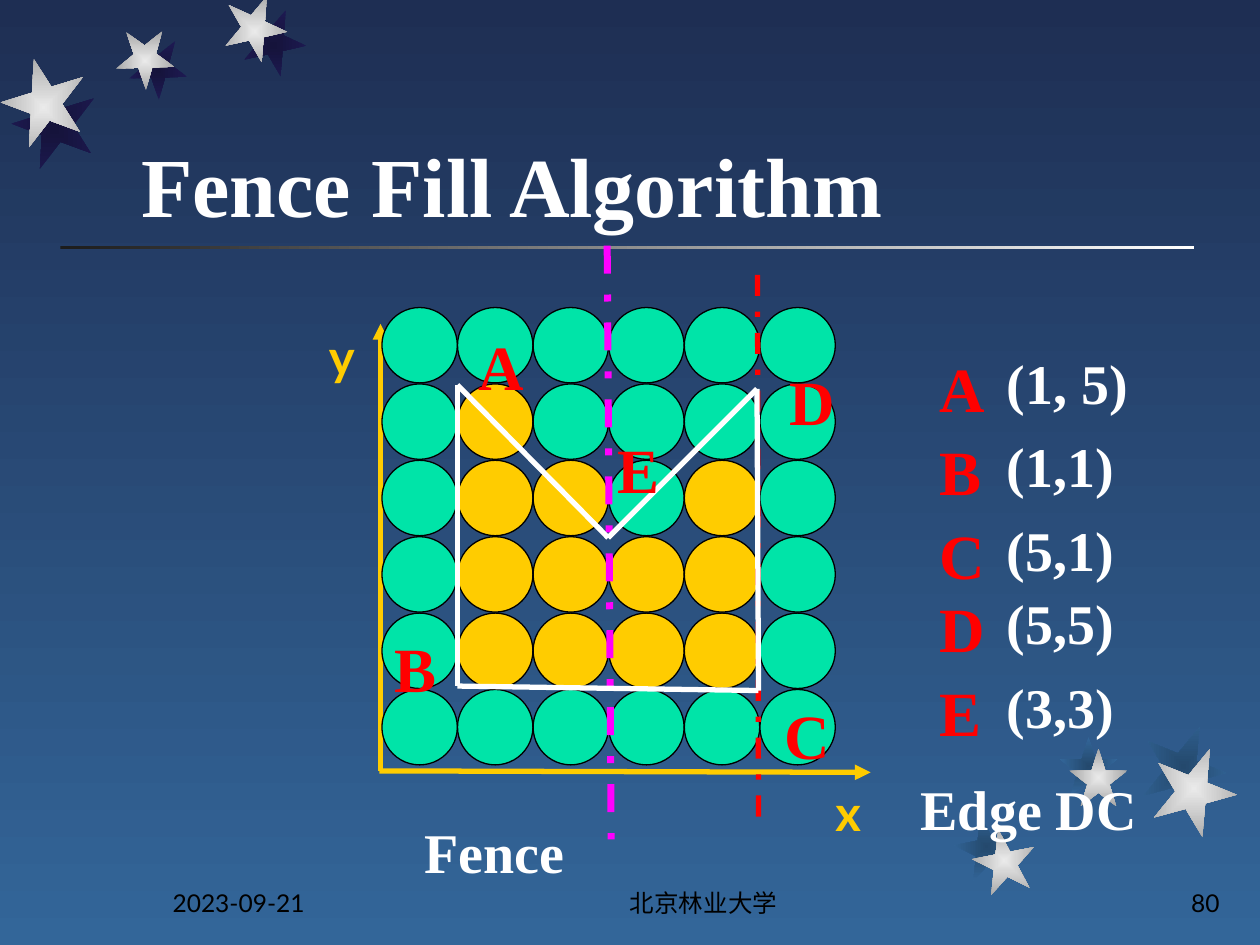
"""Builds the Fence Fill Algorithm slide with its pixel grid, polygon and vertex list."""
import dataclasses
import itertools

import pptx
import pptx.dml.color
import pptx.enum.dml
import pptx.enum.shapes
import pptx.enum.text
import pptx.oxml
import pptx.oxml.ns
import pptx.util

Cm = pptx.util.Cm
SHAPES = pptx.enum.shapes.MSO_SHAPE
ALIGN = pptx.enum.text.PP_ALIGN
ANCHOR = pptx.enum.text.MSO_ANCHOR


@dataclasses.dataclass(frozen=True)
class Theme:
    serif: str = "Times New Roman"
    sans: str = "Lato"
    white: str = "FFFFFF"
    black: str = "000000"
    red: str = "FF0000"
    magenta: str = "FF00FF"
    yellow: str = "FFCC00"
    green: str = "00E4A8"
    sky: tuple = ("1E2E53", "336699")
    rule: tuple = ("1C1C1C", "FFFFFF")
    star: tuple = ("EAEAEA", "A7A7A7")
    night_shadow: tuple = ("15133B", "1E1A53")
    dusk_shadow: tuple = ("24496D", "336699")
    title_size: int = 48
    vertex_size: int = 36
    label_size: int = 32
    axis_size: int = 28
    footer_size: int = 14


THEME = Theme()

TITLE = "Fence Fill Algorithm"
FOOTERS = [
    ("2023-09-21", 3.23, 5.28, ALIGN.LEFT),
    ("北京林业大学", 10.16, 8.05, ALIGN.CENTER),
    ("80", 19.56, 5.28, ALIGN.RIGHT),
]
STARS = [
    (1.27, 167.3, (4.88, 0.28), (4.5, 0), THEME.night_shadow),
    (1.17, 178.3, (2.6, 0.84), (2.34, 0.64), THEME.night_shadow),
    (1.7, 200.3, (0.25, 1.75), (0.03, 1.32), THEME.night_shadow),
    (1.27, 349, (19.25, 16.43), (19.61, 16.71), THEME.dusk_shadow),
    (1.17, 0, (21.36, 14.86), (21.56, 15.09), THEME.dusk_shadow),
    (1.7, 22, (23.01, 14.6), (23.22, 15.04), THEME.dusk_shadow),
]
PIXELS = ["......", ".#....", ".##.#.", ".####.", ".####.", "......"]
GRID_LEFT, GRID_TOP = 7.7, 6.2
COLUMN_PITCH, ROW_PITCH, PIXEL_SIZE = 1.524, 1.54, 1.52
AXES = [((7.67, 6.53), (7.67, 15.54)), ((17.55, 15.57), (7.65, 15.54))]
AXIS_LABELS = [("x", 16.59, 15.65), ("y", 6.38, 6.45)]
FENCES = [
    ((12.24, 4.95), (12.32, 16.92), THEME.magenta, 4),
    ((15.29, 16.46), (15.27, 5.41), THEME.red, 3),
]
POLYGON = [(9.22, 7.76), (9.22, 13.83), (15.29, 13.92), (15.26, 7.84), (12.26, 10.84)]
VERTEX_LABELS = [
    ("A", 9.4, 6.48), ("B", 7.7, 12.57), ("C", 15.57, 13.92),
    ("D", 15.67, 7.19), ("E", 12.19, 8.56),
]
COORDINATES = [
    ("A", "(1, 5)", 6.93), ("B", "(1,1)", 8.59), ("C", "(5,1)", 10.29),
    ("D", "(5,5)", 11.76), ("E", "(3,3)", 13.46),
]
CAPTIONS = [("Fence", 8.31, 16.36, 3.5), ("Edge DC", 18.31, 15.49, 5.21)]


def rgb(color):
    return pptx.dml.color.RGBColor.from_string(color)


def fill_gradient(fill, colors, angle=0):
    fill.gradient()
    fill.gradient_angle = angle
    for stop, color in zip(fill.gradient_stops, colors):
        stop.color.rgb = rgb(color)


def radiate_from_centre(shape):
    linear = shape._element.spPr.find(".//" + pptx.oxml.ns.qn("a:lin"))
    radial = pptx.oxml.parse_xml(
        f'<a:path {pptx.oxml.ns.nsdecls("a")} path="shape">'
        '<a:fillToRect l="50000" t="50000" r="50000" b="50000"/></a:path>'
    )
    linear.getparent().replace(linear, radial)


def add_shape(slide, kind, left, top, width, height):
    shape = slide.shapes.add_shape(kind, Cm(left), Cm(top), Cm(width), Cm(height))
    shape.shadow.inherit = False
    shape.line.fill.background()
    return shape


def add_star(slide, position, size, rotation, colors):
    star = add_shape(slide, SHAPES.STAR_5_POINT, *position, size, size)
    star.rotation = rotation
    fill_gradient(star.fill, colors)
    radiate_from_centre(star)


def add_line(slide, start, end, color, width, dashed=False, arrow=False):
    line = slide.shapes.add_connector(
        pptx.enum.shapes.MSO_CONNECTOR.STRAIGHT, *map(Cm, start + end)
    )
    line.line.color.rgb = rgb(color)
    line.line.width = pptx.util.Pt(width)
    if dashed:
        line.line.dash_style = pptx.enum.dml.MSO_LINE.DASH_DOT
    if arrow:
        pptx.oxml.ns  
        head = line.line._get_or_add_ln().makeelement(
            pptx.oxml.ns.qn("a:headEnd"), {"type": "triangle"}
        )
        line.line._get_or_add_ln().append(head)
    properties = line._element.spPr
    properties.append(properties.makeelement(pptx.oxml.ns.qn("a:effectLst"), {}))


def write(shape, text, font, size, color, bold=True, align=ALIGN.LEFT, anchor=ANCHOR.TOP):
    frame = shape.text_frame
    frame.text = text
    frame.word_wrap = True
    frame.auto_size = pptx.enum.text.MSO_AUTO_SIZE.NONE
    frame.vertical_anchor = anchor
    paragraph = frame.paragraphs[0]
    paragraph.alignment = align
    run_font = paragraph.runs[0].font
    run_font.name, run_font.size, run_font.bold = font, pptx.util.Pt(size), bold
    run_font.color.rgb = rgb(color)


def add_text(slide, text, left, top, width, height, *style, **options):
    box = slide.shapes.add_textbox(Cm(left), Cm(top), Cm(width), Cm(height))
    write(box, text, *style, **options)


def add_backdrop(slide):
    fill_gradient(slide.background.fill, THEME.sky, 270)
    rule = add_shape(slide, SHAPES.RECTANGLE, 1.22, 4.95, 22.86, 0.08)
    fill_gradient(rule.fill, THEME.rule)
    for size, rotation, shadow, star, shadow_colors in STARS:
        add_star(slide, shadow, size, rotation, shadow_colors)
        add_star(slide, star, size, rotation, THEME.star)
    for text, left, width, align in FOOTERS:
        add_text(slide, text, left, 17.35, width, 1.27, THEME.sans, THEME.footer_size,
                 THEME.black, bold=False, align=align, anchor=ANCHOR.BOTTOM)


def add_diagram(slide):
    for tip, origin in AXES:
        add_line(slide, tip, origin, THEME.yellow, 3, arrow=True)
    for text, left, top in AXIS_LABELS:
        add_text(slide, text, left, top, 1.12, 1.45, THEME.sans, THEME.axis_size, THEME.yellow)
    for (row, pixels), column in itertools.product(enumerate(PIXELS), range(len(PIXELS[0]))):
        pixel = add_shape(slide, SHAPES.OVAL, GRID_LEFT + column * COLUMN_PITCH,
                          GRID_TOP + row * ROW_PITCH, PIXEL_SIZE, PIXEL_SIZE)
        pixel.fill.solid()
        pixel.fill.fore_color.rgb = rgb(THEME.yellow if pixels[column] == "#" else THEME.green)
        pixel.line.color.rgb = rgb(THEME.black)
        pixel.line.width = pptx.util.Pt(0.75)
    for start, end, color, width in FENCES:
        add_line(slide, start, end, color, width, dashed=True)
    for start, end in zip(POLYGON, POLYGON[1:] + POLYGON[:1]):
        add_line(slide, start, end, THEME.white, 3)


def add_labels(slide):
    vertex_style = (THEME.serif, THEME.vertex_size, THEME.red)
    label_style = (THEME.serif, THEME.label_size, THEME.white)
    for text, left, top in VERTEX_LABELS:
        add_text(slide, text, left, top, 1.42, 1.78, *vertex_style)
    for vertex, coordinates, top in COORDINATES:
        add_text(slide, vertex, 18.69, top, 1.42, 1.78, *vertex_style)
        add_text(slide, coordinates, 20.04, top - 0.02, 3.2, 1.6, *label_style)
    for text, left, top, width in CAPTIONS:
        add_text(slide, text, left, top, width, 1.6, *label_style)


def main():
    presentation = pptx.Presentation()
    presentation.slide_width, presentation.slide_height = Cm(25.4), Cm(19.05)
    slide = presentation.slides.add_slide(presentation.slide_layouts[5])
    add_backdrop(slide)
    title = slide.shapes.title
    title.left, title.top, title.width, title.height = map(Cm, (2.59, 0.79, 21.64, 4.06))
    write(title, TITLE, THEME.serif, THEME.title_size, THEME.white, anchor=ANCHOR.BOTTOM)
    add_diagram(slide)
    add_labels(slide)
    presentation.save("out.pptx")


if __name__ == "__main__":
    main()
